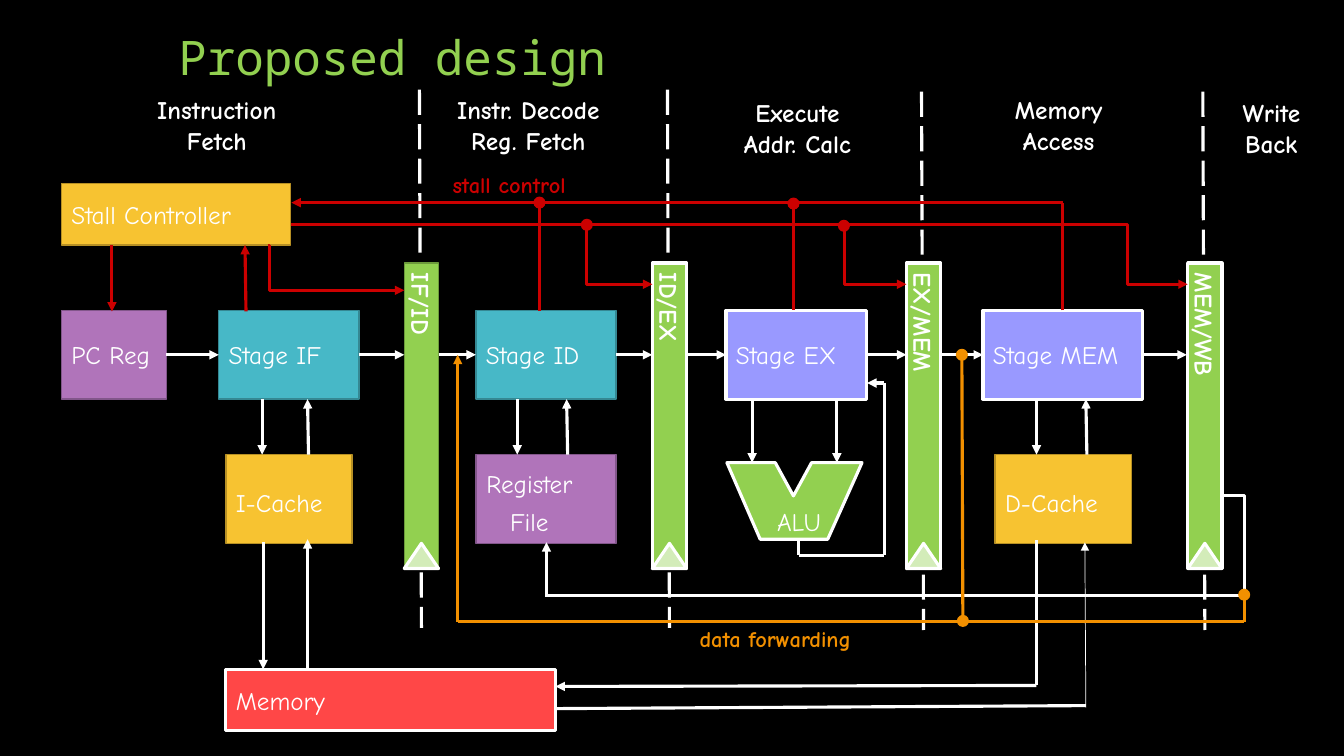
from dataclasses import dataclass

from lxml import etree
from pptx import Presentation
from pptx.dml.color import RGBColor
from pptx.enum.dml import MSO_LINE
from pptx.enum.shapes import MSO_CONNECTOR, MSO_SHAPE
from pptx.enum.text import MSO_ANCHOR, PP_ALIGN
from pptx.oxml.ns import qn
from pptx.util import Pt

PX = 9144  # 100 px to the inch
RECT, OVAL, PEAK = MSO_SHAPE.RECTANGLE, MSO_SHAPE.OVAL, MSO_SHAPE.ISOSCELES_TRIANGLE
STRAIGHT, ELBOW = MSO_CONNECTOR.STRAIGHT, MSO_CONNECTOR.ELBOW
LEFT, CENTER = PP_ALIGN.LEFT, PP_ALIGN.CENTER
TOP, MIDDLE, BOTTOM = MSO_ANCHOR.TOP, MSO_ANCHOR.MIDDLE, MSO_ANCHOR.BOTTOM


@dataclass(frozen=True)
class Theme:
    back: str = "000000"
    white: str = "FFFFFF"
    green: str = "92D050"
    moss: str = "6C9A3B"
    pale: str = "D3ECB9"
    red: str = "CC0000"
    amber: str = "F29000"
    teal: tuple = ("47B8C7", "358893", 1)
    plum: tuple = ("B074BA", "82568A", 1)
    gold: tuple = ("F7C331", "B79024", 1)
    lilac: tuple = ("9999FF", "FFFFFF", 2.25)
    coral: tuple = ("FF4747", "FFFFFF", 2.25)
    font: str = "Comic Neue"
    mono: str = "Noto Sans Mono"
    title: int = 34
    body: int = 18
    note: int = 16
    thick: float = 2.25
    thin: float = 0.5


T = Theme()


def rgb(code):
    return RGBColor.from_string(code)


def put(item, **vals):
    for name, val in vals.items():
        setattr(item, name, val)


def paint(shape, fill, line=None, width=T.thick):
    shape.shadow.inherit = False
    shape.fill.solid()
    shape.fill.fore_color.rgb = rgb(fill)
    if line:
        shape.line.color.rgb = rgb(line)
        shape.line.width = Pt(width)
    else:
        shape.line.fill.background()


def write(shape, text, color=T.white, size=T.body, font=T.font, bold=False,
          align=CENTER, anchor=MIDDLE, wrap=True, gap=None, pads=(10, 10)):
    frame = shape.text_frame
    frame.text = text
    put(frame, word_wrap=wrap, vertical_anchor=anchor,
        margin_left=pads[0] * PX, margin_right=pads[1] * PX)
    for para in frame.paragraphs:
        put(para, alignment=align, line_spacing=gap)
        put(para.font, name=font, size=Pt(size), bold=bold)
        para.font.color.rgb = rgb(color)


def add(slide, kind, box):
    return slide.shapes.add_shape(kind, *(n * PX for n in box))


def label(slide, box, text, **style):
    shape = slide.shapes.add_textbox(*(n * PX for n in box))
    write(shape, text, **style)


def block(slide, box, text, look, **style):
    shape = add(slide, RECT, box)
    paint(shape, *look)
    write(shape, text, **{"align": LEFT, **style})
    return shape


def wire(slide, start, end, color=T.white, arrow=True, width=T.thick,
         dash=None, bend=None):
    """Draw a line; bend is the x of an elbow's upright part."""
    kind = STRAIGHT if bend is None else ELBOW
    line = slide.shapes.add_connector(kind, *(n * PX for n in (*start, *end)))
    line.line.color.rgb = rgb(color)
    put(line.line, width=Pt(width), dash_style=dash)
    props = line._element.spPr
    if bend is not None:
        ratio = (bend - start[0]) / (end[0] - start[0])
        guides = props.find(qn("a:prstGeom")).get_or_add_avLst()
        etree.SubElement(guides, qn("a:gd"), name="adj1",
                         fmla=f"val {round(ratio * 100000)}")
    if arrow:
        etree.SubElement(props.find(qn("a:ln")), qn("a:tailEnd"), type="triangle")
    etree.SubElement(props, qn("a:effectLst"))
    return line


def route(slide, points, color=T.white, arrow=True):
    """Join points by straight lines, with an arrow on the last one."""
    pairs = list(zip(points, points[1:]))
    return [wire(slide, a, b, color, arrow and i == len(pairs) - 1)
            for i, (a, b) in enumerate(pairs)]


def net(slide, box, color, routes, dots):
    """Draw routes and joints; all points are relative to box."""
    x, y = box[:2]
    lines = [route(slide, [(x + a, y + b) for a, b in points], color, arrow)
             for points, arrow in routes]
    for a, b in dots:
        paint(add(slide, OVAL, (x + a - 6, y + b - 6, 12, 12)), color)
    return lines


def latch(slide, box, text, rise, edge):
    """Draw a pipeline register with its clock mark on a dashed divider."""
    x, y, w, h = box
    wire(slide, (x + 15, y - rise), (x + 17, y - rise + 534),
         arrow=False, dash=MSO_LINE.LONG_DASH)
    bar = add(slide, RECT, box)
    paint(bar, T.green, *edge)
    write(bar, text, bold=True, wrap=False)
    bar.text_frame._txBody.bodyPr.set("vert", "eaVert")
    paint(add(slide, PEAK, (x, y + h - 25, w, 25)), T.pale, T.white)


def alu(slide, box):
    x, y, w, h = box
    pen = slide.shapes.build_freeform(x, y, scale=PX)
    pen.add_line_segments([(x + a, y + b) for a, b in (
        (48, 0), (66, 33), (84, 0), (w, 0), (w - 34, h), (33, h))], close=True)
    paint(pen.convert_to_shape(), T.green, T.white)
    label(slide, (x + 36, y + 31, 71, 45), "ALU", wrap=False, gap=Pt(27), anchor=TOP)
    net(slide, box, T.white, [
        ([(25, -63), (25, 0)], True),
        ([(109, -63), (109, 0)], True),
        ([(71, h), (71, 92), (156, 92), (156, -79), (139, -79)], True)], [])


def heads(slide, box):
    x, y, w, h = box
    for mid, wide, drop, text in ((215, 180, 0, "Instruction\nFetch"),
                                  (524, 180, 0, "Instr. Decode\nReg. Fetch"),
                                  (791, 180, 3, "Execute\nAddr. Calc"),
                                  (1050, 180, 0, "Memory\nAccess"),
                                  (1261, 100, 3, "Write\nBack")):
        label(slide, (x + mid - wide // 2, y + drop, wide, h), text, bold=True,
              anchor=TOP, pads=(0, 0))


def stages(slide, box):
    """Draw the row of stages with its arrows; return the last stage."""
    x, y, w, h = box
    mid = y + h // 2
    last = block(slide, (x, y, 104, h), "PC Reg", T.plum)
    for left, wide, text, look, start, end in (
            (156, 139, "Stage IF", T.teal, None, 340),
            (411, 139, "Stage ID", T.teal, 374, 586),
            (659, 139, "Stage EX", T.lilac, 619, 838),
            (914, 158, "Stage MEM", T.lilac, 871, 1116)):
        stage = block(slide, (x + left, y, wide, h), text, look)
        entry = wire(slide, (x + (start or 104), mid), (x + left, mid))
        entry.end_connect(stage, 1)
        if start is None:
            entry.begin_connect(last, 3)
        wire(slide, (x + left + wide, mid), (x + end, mid)).begin_connect(stage, 3)
        last = stage
    return last


def stores(slide, box):
    """Draw caches, register file and memory with their wires."""
    x, y, w, h = box
    for left, wide, text, look, style, down, up in (
            (0, 125, "I-Cache", T.gold, {}, 36, 81),
            (248, 139, "Register\nFile", T.plum,
             {"align": CENTER, "pads": (0, 33)}, 289, 338),
            (763, 135, "D-Cache", T.gold, {}, 804, 853)):
        block(slide, (x + left, y, wide, 88), text, look, gap=Pt(27), **style)
        wire(slide, (x + down, y - 55), (x + down, y))
        wire(slide, (x + up + 1, y), (x + up, y - 55))
    block(slide, (x, y + h - 61, 327, 61), "Memory", T.coral)
    net(slide, box, T.white, [
        ([(37, 87), (37, 213)], True),
        ([(81, 213), (81, 84)], True),
        ([(804, 85), (804, 229), (327, 230)], True),
        ([(326, 252), (853, 249)], False)], [])
    wire(slide, (x + 853, y + 251), (x + 852, y + 87), width=T.thin)


def stall(slide, box, last):
    """Draw the stall controller and its network, fed by the last stage."""
    x, y, w, h = box
    block(slide, (x, y, 227, 61), "Stall Controller", T.gold)
    for start, bend, end in ((228, 521, 586), (442, 777, 838), (722, 1057, 1117)):
        wire(slide, (x + start, y + 41), (x + end, y + 100), T.red, bend=x + bend)
    wire(slide, (x + 205, y + 62), (x + 340, y + 106), T.red, bend=x + 206)
    lines = net(slide, box, T.red, [
        ([(993, 126), (993, 19), (228, 19)], True),
        ([(183, 127), (182, 61)], True),
        ([(50, 61), (50, 127)], True),
        ([(474, 19), (474, 127)], False),
        ([(726, 18), (726, 126)], False)],
        [(474, 19), (521, 41), (726, 20), (776, 42)])
    lines[0][0].begin_connect(last, 0)
    label(slide, (x + 378, y - 17, 197, 37), "stall control", color=T.red,
          size=T.note, bold=True, align=LEFT, anchor=TOP)


def forward(slide, box):
    """Draw the write-back path and the data forwarding network."""
    x, y, w, h = box
    wire(slide, (x + 87, y + 239), (x + 758, y + 140), arrow=False, bend=x + w)
    wire(slide, (x + 88, y + 239), (x + 88, y + 186))
    net(slide, box, T.amber, [
        ([(500, 0), (501, h)], False),
        ([(w, 239), (w, h), (0, h), (0, 0)], True)],
        [(501, h - 1), (w, 238), (500, 0)])
    label(slide, (x + 230, y + 263, 197, 37), "data forwarding", color=T.amber,
          size=T.note, bold=True, align=LEFT, anchor=TOP)


def main():
    deck = Presentation()
    put(deck, slide_width=1333 * PX, slide_height=750 * PX)
    slide = deck.slides.add_slide(deck.slide_layouts[6])
    slide.background.fill.solid()
    slide.background.fill.fore_color.rgb = rgb(T.back)
    label(slide, (167, 0, 1000, 90), "Proposed design", color=T.green, size=T.title,
          font=T.mono, align=LEFT, anchor=BOTTOM, gap=0.9)
    heads(slide, (0, 89, 1333, 70))
    bright = (T.white, T.thick)
    for left, text, rise, edge in ((401, "IF/ID", 172, (T.moss, 1)),
                                   (647, "ID/EX", 172, bright),
                                   (899, "EX/MEM", 170, bright),
                                   (1178, "MEM/WB", 170, bright)):
        latch(slide, (left, 261, 34, 303), text, rise, edge)
    last = stages(slide, (61, 308, 1072, 88))
    alu(slide, (721, 459, 134, 76))
    stores(slide, (224, 451, 898, 274))
    stall(slide, (61, 182, 1117, 127), last)
    forward(slide, (454, 352, 780, 265))
    deck.save("out.pptx")


if __name__ == "__main__":
    main()
